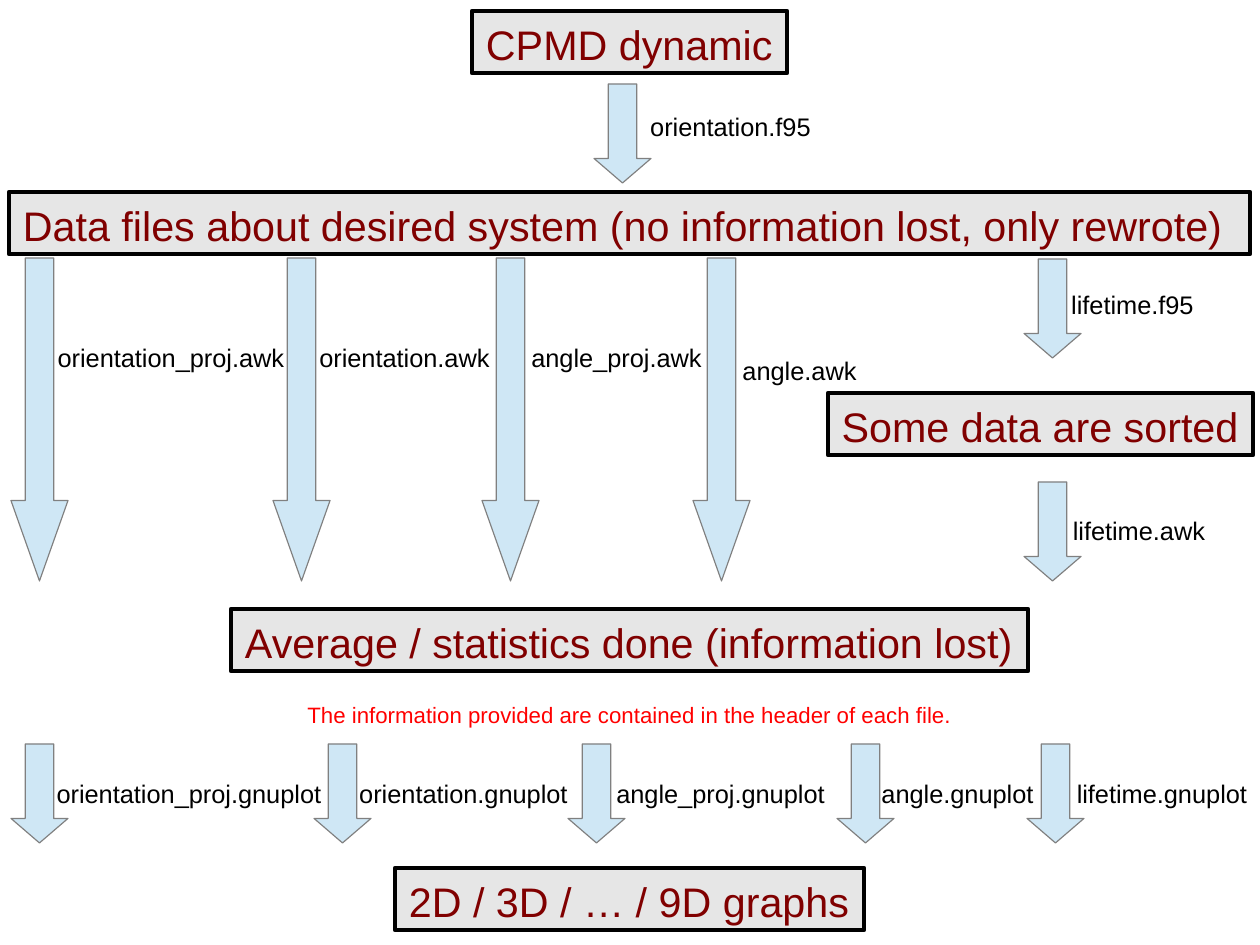
from pptx import Presentation
from pptx.dml.color import RGBColor
from pptx.enum.shapes import MSO_SHAPE
from pptx.enum.text import MSO_ANCHOR, PP_ALIGN
from pptx.util import Emu, Pt

PX = 8000
BLACK = RGBColor(0x00, 0x00, 0x00)
GREY = RGBColor(0x80, 0x80, 0x80)
PALE_GREY = RGBColor(0xE6, 0xE6, 0xE6)
PALE_BLUE = RGBColor(0xCF, 0xE7, 0xF5)
MAROON = RGBColor(0x80, 0x00, 0x00)
RED = RGBColor(0xFF, 0x00, 0x00)

STAGE_HEIGHT = 62
ARROW_WIDTH = 57
SHORT_ARROW = 99
LONG_ARROW = 323
HEAD_LENGTHS = {SHORT_ARROW: 0.43, LONG_ARROW: 1.41}

STAGES = [
    ("CPMD dynamic", 472, 11, 315, PP_ALIGN.LEFT, False),
    ("Data files about desired system (no information lost, only rewrote)",
     9, 192, 1241, PP_ALIGN.LEFT, True),
    ("Some data are sorted", 828, 393, 425, PP_ALIGN.CENTER, False),
    ("Average / statistics done (information lost)",
     231, 609, 797, PP_ALIGN.LEFT, False),
    ("2D / 3D / … / 9D graphs", 395, 868, 469, PP_ALIGN.CENTER, False),
]
F95_AND_LIFETIME_STEPS = [
    ("orientation.f95", 594, 84, 629, 105, 203),
    ("lifetime.f95", 1024, 259, 1060, 283, 145),
    ("lifetime.awk", 1024, 482, 1032, 509, 214),
]
AWK_STEPS = [
    ("orientation_proj.awk", 11, 11, 336, 320),
    ("orientation.awk", 273, 276, 336, 257),
    ("angle_proj.awk", 482, 488, 336, 257),
    ("angle.awk", 693, 703, 349, 193),
]
GNUPLOT_STEPS = [
    ("orientation_proj.gnuplot", 11, 29, 320),
    ("orientation.gnuplot", 314, 335, 257),
    ("angle_proj.gnuplot", 568, 592, 257),
    ("angle.gnuplot", 837, 861, 193),
    ("lifetime.gnuplot", 1027, 1055, 214),
]


def px(*lengths):
    return [Emu(length * PX) for length in lengths]


def write(frame, words, size, color, align, insets, wrap=False):
    frame.word_wrap = wrap
    frame.vertical_anchor = MSO_ANCHOR.TOP
    side, edge = px(*insets)
    frame.margin_left = frame.margin_right = side
    frame.margin_top = frame.margin_bottom = edge
    paragraph = frame.paragraphs[0]
    paragraph.alignment = align
    run = paragraph.add_run()
    run.text = words
    run.font.name = "Arial"
    run.font.size = Pt(size)
    run.font.color.rgb = color


def add_filled(slide, preset, bounds, fill, line, line_width):
    outline = slide.shapes.add_shape(preset, *px(*bounds))
    outline.shadow.inherit = False
    outline.fill.solid()
    outline.fill.fore_color.rgb = fill
    outline.line.color.rgb = line
    outline.line.width = Pt(line_width)
    return outline


def add_stage(slide, words, left, top, width, align, wrap):
    stage = add_filled(slide, MSO_SHAPE.RECTANGLE,
                       (left, top, width, STAGE_HEIGHT), PALE_GREY, BLACK, 2.89)
    write(stage.text_frame, words, 26, MAROON, align, (14, 8), wrap)


def add_arrow(slide, left, top, height):
    arrow = add_filled(slide, MSO_SHAPE.DOWN_ARROW,
                       (left, top, ARROW_WIDTH, height), PALE_BLUE, GREY, 0)
    arrow.adjustments[0] = 0.5
    arrow.adjustments[1] = HEAD_LENGTHS[height]


def add_label(slide, words, left, top, width, height=43, size=16, color=BLACK):
    label = slide.shapes.add_textbox(*px(left, top, width, height))
    write(label.text_frame, words, size, color, PP_ALIGN.CENTER, (11, 6))


def main():
    presentation = Presentation()
    presentation.slide_width, presentation.slide_height = px(1260, 945)
    slide = presentation.slides.add_slide(presentation.slide_layouts[6])

    for stage in STAGES:
        add_stage(slide, *stage)
    for script, arrow_left, arrow_top, left, top, width in F95_AND_LIFETIME_STEPS:
        add_arrow(slide, arrow_left, arrow_top, SHORT_ARROW)
        add_label(slide, script, left, top, width)
    for script, arrow_left, left, top, width in AWK_STEPS:
        add_arrow(slide, arrow_left, 258, LONG_ARROW)
        add_label(slide, script, left, top, width)
    for script, arrow_left, left, width in GNUPLOT_STEPS:
        add_arrow(slide, arrow_left, 744, SHORT_ARROW)
        add_label(slide, script, left, 772, width)
    add_label(slide,
              "The information provided are contained in the header of each file.",
              295, 695, 669, 37, 14, RED)

    presentation.save("out.pptx")


if __name__ == "__main__":
    main()
